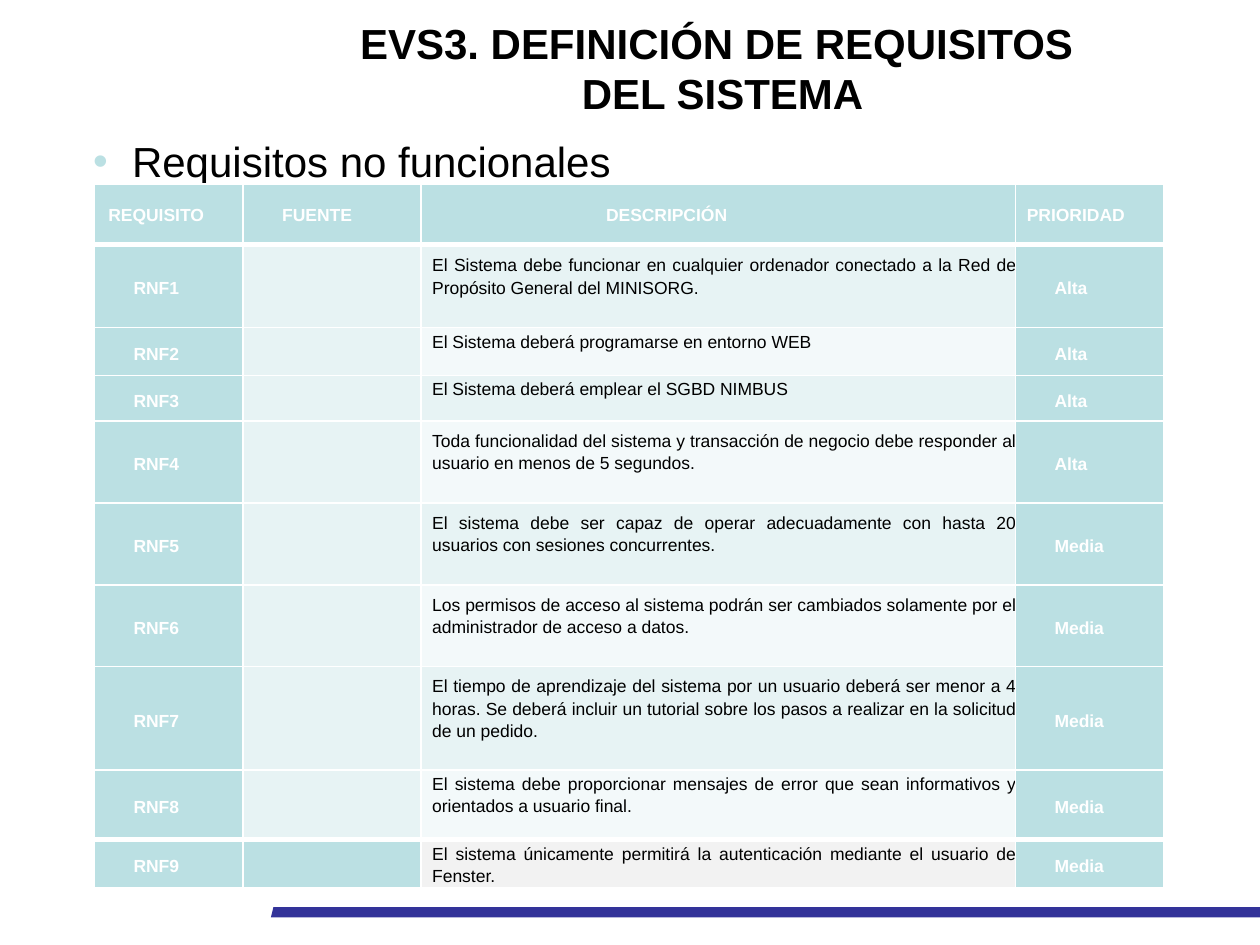
import pptx
import pptx.util
import pptx.dml.color
import pptx.enum.shapes
import pptx.enum.text
import pptx.oxml
import pptx.oxml.ns
import lxml.etree

Inches = pptx.util.Inches
Pt = pptx.util.Pt
ALIGN = pptx.enum.text.PP_ALIGN
MIDDLE = pptx.enum.text.MSO_ANCHOR.MIDDLE

AQUA, PALE, FAINT, GREY = "BBE0E3", "E7F3F4", "F3F9FA", "F2F2F2"
WHITE, BLACK, NAVY = "FFFFFF", "000000", "333399"

COLS = [1.18, 1.41, 4.72, 1.18]
HEADS = [("REQUISITO", 0.11), ("FUENTE", 0.31), ("DESCRIPCIÓN", 1.47), ("PRIORIDAD", 0.09)]
HEAD_H = 0.48
# Row height, priority, description
NEEDS = [
    (0.66, "Alta", "El Sistema debe funcionar en cualquier ordenador conectado a la Red de Propósito General del MINISORG."),
    (0.38, "Alta", "El Sistema deberá programarse en entorno WEB"),
    (0.36, "Alta", "El Sistema deberá emplear el SGBD NIMBUS"),
    (0.65, "Alta", "Toda funcionalidad del sistema y transacción de negocio debe responder al usuario en menos de 5 segundos."),
    (0.65, "Media", "El sistema debe ser capaz de operar adecuadamente con hasta 20 usuarios con sesiones concurrentes."),
    (0.65, "Media", "Los permisos de acceso al sistema podrán ser cambiados solamente por el administrador de acceso a datos."),
    (0.82, "Media", "El tiempo de aprendizaje del sistema por un usuario deberá ser menor a 4 horas. Se deberá incluir un tutorial sobre los pasos a realizar en la solicitud de un pedido."),
    (0.53, "Media", "El sistema debe proporcionar mensajes de error que sean informativos y orientados a usuario final."),
    (0.35, "Media", "El sistema únicamente permitirá la autenticación mediante el usuario de Fenster."),
]


def color(code):
    return pptx.dml.color.RGBColor.from_string(code)


def apply(thing, values):
    for name, value in values.items():
        setattr(thing, name, value)


def paint(thing, code):
    thing.fill.solid()
    thing.fill.fore_color.rgb = color(code)


def write(para, text, size, code, bold=False, left=0, **form):
    """Put one run in a paragraph, with its format and left indent."""
    run = para.add_run()
    run.text = text
    apply(run.font, {"name": "Arial", "size": Pt(size), "bold": bold})
    run.font.color.rgb = color(code)
    apply(para, form)
    if left:
        para._p.get_or_add_pPr().set("marL", str(Inches(left)))


def edge(cell, top, base):
    """Draw white borders, with the given top and bottom widths."""
    props = cell._tc.get_or_add_tcPr()
    sides = {"lnL": 1, "lnR": 1, "lnT": top, "lnB": base}
    for spot, (side, width) in enumerate(sides.items()):
        line = lxml.etree.Element(pptx.oxml.ns.qn("a:" + side), w=str(Pt(width)))
        fill = lxml.etree.SubElement(line, pptx.oxml.ns.qn("a:solidFill"))
        lxml.etree.SubElement(fill, pptx.oxml.ns.qn("a:srgbClr"), val=WHITE)
        props.insert(spot, line)


def add_band(slide, x, y, w, h):
    """Footer band with a slanted left end."""
    pen = slide.shapes.build_freeform(Inches(x), Inches(y + h))
    points = [(x + w, y + h), (x + w, y), (x + 0.02, y)]
    pen.add_line_segments([(Inches(a), Inches(b)) for a, b in points], close=True)
    band = pen.convert_to_shape()
    band.shadow.inherit = False
    paint(band, NAVY)
    band.line.fill.background()


def add_title(slide, x, y, w, h):
    box = slide.shapes.add_shape(pptx.enum.shapes.MSO_SHAPE.RECTANGLE,
                                 Inches(x), Inches(y), Inches(w), Inches(h))
    box.shadow.inherit = False
    paint(box, WHITE)
    box.line.color.rgb = color(WHITE)
    box.line.width = Pt(1)
    frame = box.text_frame
    pad = Inches(0.05)
    apply(frame, {"word_wrap": False, "vertical_anchor": MIDDLE, "margin_left": pad,
                  "margin_right": pad, "margin_top": pad, "margin_bottom": pad})
    for para, text in ((frame.paragraphs[0], "EVS3. DEFINICIÓN DE REQUISITOS "),
                       (frame.add_paragraph(), "DEL SISTEMA")):
        write(para, text, 24, BLACK, True, alignment=ALIGN.CENTER)


def add_topic(slide, x, y, w, h):
    """Bulleted subtitle."""
    box = slide.shapes.add_textbox(Inches(x), Inches(y), Inches(w), Inches(h))
    box.text_frame.word_wrap = True
    para = box.text_frame.paragraphs[0]
    write(para, "Requisitos no funcionales", 24, BLACK, left=0.48,
          line_spacing=1.5, space_before=Pt(10))
    props = para._p.get_or_add_pPr()
    props.set("indent", str(Inches(-0.31)))
    tint = lxml.etree.SubElement(props, pptx.oxml.ns.qn("a:buClr"))
    lxml.etree.SubElement(tint, pptx.oxml.ns.qn("a:srgbClr"), val=AQUA)
    lxml.etree.SubElement(props, pptx.oxml.ns.qn("a:buFont"), typeface="Arial")
    lxml.etree.SubElement(props, pptx.oxml.ns.qn("a:buChar"), char="•")


def add_needs(slide, x, y):
    """Table of requirements: a header row, then one row per need."""
    highs = [HEAD_H] + [need[0] for need in NEEDS]
    last = len(NEEDS)
    table = slide.shapes.add_table(len(highs), len(COLS), Inches(x), Inches(y),
                                   Inches(sum(COLS)), Inches(sum(highs))).table
    for col, wide in zip(table.columns, COLS):
        col.width = Inches(wide)
    for row, high in zip(table.rows, highs):
        row.height = Inches(high)

    # Shared fills, borders and margins
    for r in range(len(highs)):
        band = GREY if r == last else PALE if r % 2 else FAINT
        fills = [AQUA, AQUA if r == last else PALE, band, AQUA]
        for c, code in enumerate(fills):
            cell = table.cell(r, c)
            apply(cell, {"margin_left": 0, "margin_right": 0, "margin_top": 0,
                         "margin_bottom": 0, "vertical_anchor": MIDDLE})
            paint(cell, code if r else AQUA)
            edge(cell, 3 if r in (1, last) else 1, 3 if r in (0, last - 1) else 1)

    # Header
    for c, (text, left) in enumerate(HEADS):
        write(table.cell(0, c).text_frame.paragraphs[0], text, 10, WHITE, True, left,
              alignment=ALIGN.JUSTIFY, line_spacing=1.15, space_before=Pt(4.8))

    # Requirements
    for r, (high, rank, text) in enumerate(NEEDS, 1):
        for c, label in ((0, f"RNF{r}"), (3, rank)):
            write(table.cell(r, c).text_frame.paragraphs[0], label, 10, WHITE, True, 0.31,
                  alignment=ALIGN.JUSTIFY, line_spacing=Pt(14.5))
        cell = table.cell(r, 2)
        if r < last:
            cell.margin_bottom = Inches(0.17)
        write(cell.text_frame.paragraphs[0], text, 10, BLACK, False, 0.09,
              alignment=ALIGN.JUSTIFY, line_spacing=1.15)


def main():
    deck = pptx.Presentation()
    apply(deck, {"slide_width": Inches(10), "slide_height": Inches(7.5)})
    slide = deck.slides.add_slide(deck.slide_layouts[6])
    add_band(slide, 2.15, 7.2, 7.85, 0.08)
    add_title(slide, 2.23, 0.16, 7.01, 0.75)
    add_topic(slide, 0.47, 0.83, 8.07, 0.64)
    add_needs(slide, 0.75, 1.46)
    deck.save("out.pptx")


if __name__ == "__main__":
    main()
